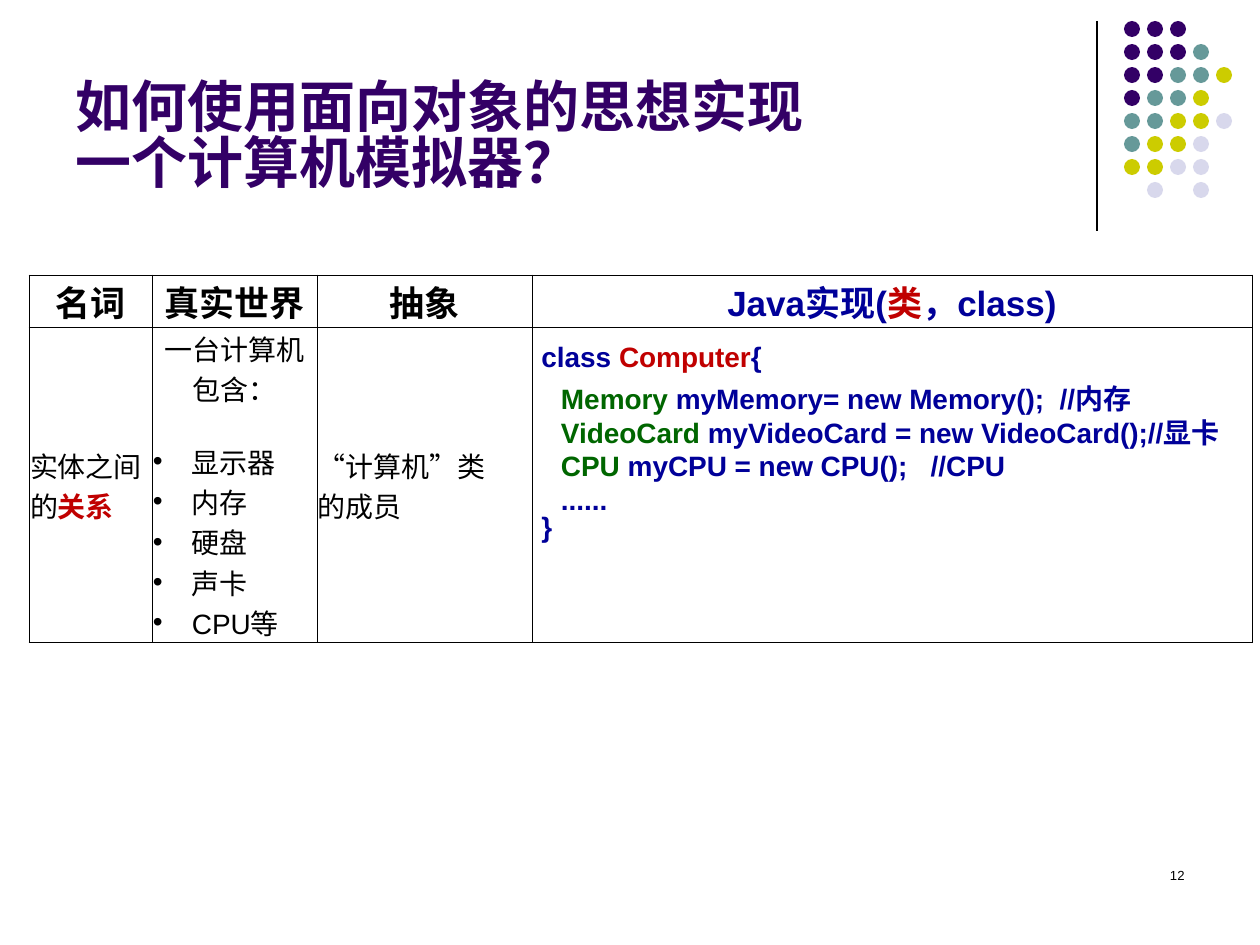
import pptx
import pptx.util
import pptx.dml.color
import pptx.enum.shapes
import pptx.enum.text
import pptx.oxml
import pptx.oxml.ns
from lxml import etree

PX = 914400 / 126
THEME = {
    "font": "Arial",
    "black": "000000", "purple": "330066", "teal": "669999", "olive": "CCCC00",
    "lilac": "D8D8EC", "blue": "000099", "red": "C00000", "green": "006600",
    "title": 32, "head": 20, "body": 16, "number": 7.5,
}
ALIGN = pptx.enum.text.PP_ALIGN
ANCHOR = pptx.enum.text.MSO_ANCHOR
qn = pptx.oxml.ns.qn


def px(*values):
    return [pptx.util.Emu(round(v * PX)) for v in values]


def write(p, runs, size, bold=False):
    for text, color in runs:
        if text == "\n":
            p.add_line_break()
            continue
        r = p.add_run()
        r.text = text
        look = {"name": THEME["font"], "size": pptx.util.Pt(THEME[size]),
                "bold": bold or color == "red"}
        for key, value in look.items():
            setattr(r.font, key, value)
        r.font.color.rgb = pptx.dml.color.RGBColor.from_string(THEME[color])


prs = pptx.Presentation()
prs.slide_width, prs.slide_height = px(1260, 945)
s = prs.slides.add_slide(prs.slide_layouts[5])

rule = s.shapes.add_connector(pptx.enum.shapes.MSO_CONNECTOR.STRAIGHT, *px(1097, 21, 1097, 231))
rule.line.width = pptx.util.Pt(0.75)
rule.line.color.rgb = pptx.dml.color.RGBColor.from_string(THEME["black"])
etree.SubElement(rule._element.spPr, qn("a:effectLst"))

DOT_ROWS = ["PPP", "PPPT", "PPTTO", "PTTO", "TTOOL", "TOOL", "OOLL", " L L"]
DOT_COLORS = {"P": "purple", "T": "teal", "O": "olive", "L": "lilac"}
for row, marks in enumerate(DOT_ROWS):
    for col, mark in enumerate(marks):
        if mark in DOT_COLORS:
            dot = s.shapes.add_shape(pptx.enum.shapes.MSO_SHAPE.OVAL,
                                     *px(1124 + 23 * col, 21 + 23 * row, 16, 16))
            dot.shadow.inherit = False
            dot.fill.solid()
            dot.fill.fore_color.rgb = pptx.dml.color.RGBColor.from_string(THEME[DOT_COLORS[mark]])
            dot.line.fill.background()

title = s.shapes.title
title.left, title.top, title.width, title.height = px(63, 16, 990, 179)
tf = title.text_frame
for key, value in {"vertical_anchor": ANCHOR.BOTTOM, "word_wrap": True,
                   "auto_size": pptx.enum.text.MSO_AUTO_SIZE.NONE, "margin_bottom": 0}.items():
    setattr(tf, key, value)
p = tf.paragraphs[0]
p.alignment, p.line_spacing = ALIGN.LEFT, 0.83
write(p, [("如何使用面向对象的思想实现", "purple"), ("\n", None),
          ("一个计算机模拟器？", "purple")], "title", True)

COLUMNS = [123, 165, 215, 720]
ROWS = [52, 315]
HEADS = [
    [("名词", "black")],
    [("真实世界", "black")],
    [("抽象", "black")],
    [("Java实现(", "blue"), ("类", "red"), ("，class)", "blue")],
]
PARTS = ["显示器", "内存", "硬盘", "声卡", "CPU等"]
BODY = [
    [[("实体之间的", "black"), ("关系", "red")]],
    [[("一台计算机包含：", "black")]] + [[(part, "black")] for part in PARTS],
    [[("“计算机”类", "black")], [("的成员", "black")]],
    [],
]
table = s.shapes.add_table(2, 4, *px(29, 275, sum(COLUMNS), sum(ROWS))).table
table.first_row = table.horz_banding = False
for column, width in zip(table.columns, px(*COLUMNS)):
    column.width = width
for row, height in zip(table.rows, px(*ROWS)):
    row.height = height

for i, paragraphs in enumerate([[head] for head in HEADS] + BODY):
    cell = table.cell(i // 4, i % 4)
    is_head = i < 4
    inset = px(1)[0]
    for key, value in {"margin_left": inset, "margin_right": inset, "margin_top": inset,
                       "margin_bottom": 0, "vertical_anchor": ANCHOR.MIDDLE}.items():
        setattr(cell, key, value)
    for n, runs in enumerate(paragraphs):
        p = cell.text_frame.paragraphs[0] if n == 0 else cell.text_frame.add_paragraph()
        write(p, runs, "head" if is_head else "body", is_head)
        p.alignment = ALIGN.CENTER if is_head else ALIGN.LEFT
        if i == 5 and n == 0:
            p.alignment, p.space_after = ALIGN.CENTER, px(32)[0]
        elif i == 5:
            pPr = p._p.get_or_add_pPr()
            indent = px(39)[0]
            pPr.set("marL", str(indent))
            pPr.set("indent", str(-indent))
            etree.SubElement(pPr, qn("a:buFont")).set("typeface", THEME["font"])
            etree.SubElement(pPr, qn("a:buChar")).set("char", "•")
    tcPr = cell._tc.get_or_add_tcPr()
    for side in ("lnL", "lnR", "lnT", "lnB"):
        ln = etree.SubElement(tcPr, qn("a:" + side), w="6350")
        fill = etree.SubElement(ln, qn("a:solidFill"))
        etree.SubElement(fill, qn("a:srgbClr"), val=THEME["black"])
    cell.fill.background()

number = s.shapes.add_textbox(*px(903, 861, 294, 63))
number.text_frame.word_wrap = True
p = number.text_frame.paragraphs[0]
p.alignment = ALIGN.RIGHT
write(p, [("12", "black")], "number")

frame = s.shapes.add_textbox(*px(529, 331, 723, 217))
tf = frame.text_frame
tf.word_wrap = True
tf.margin_top = px(9)[0]
write(tf.paragraphs[0], [("class ", "blue"), ("Computer", "red"), ("{", "blue")], "body", True)
p = tf.add_paragraph()
p.space_before = px(136)[0]
write(p, [("}", "blue")], "body", True)

members = s.shapes.add_textbox(*px(517, 373, 724, 149))
tf = members.text_frame
tf.word_wrap = False
tf.margin_left, tf.margin_top = px(44, 9)
p = tf.paragraphs[0]
p.line_spacing = pptx.util.Pt(19.1)
write(p, [
    ("Memory ", "green"), ("myMemory= new Memory();  //内存", "blue"), ("\n", None),
    ("VideoCard ", "green"), ("myVideoCard = new VideoCard();//显卡", "blue"), ("\n", None),
    ("CPU ", "green"), ("myCPU = new CPU();   //CPU", "blue"), ("\n", None),
    ("......", "blue"),
], "body", True)

prs.save("out.pptx")
